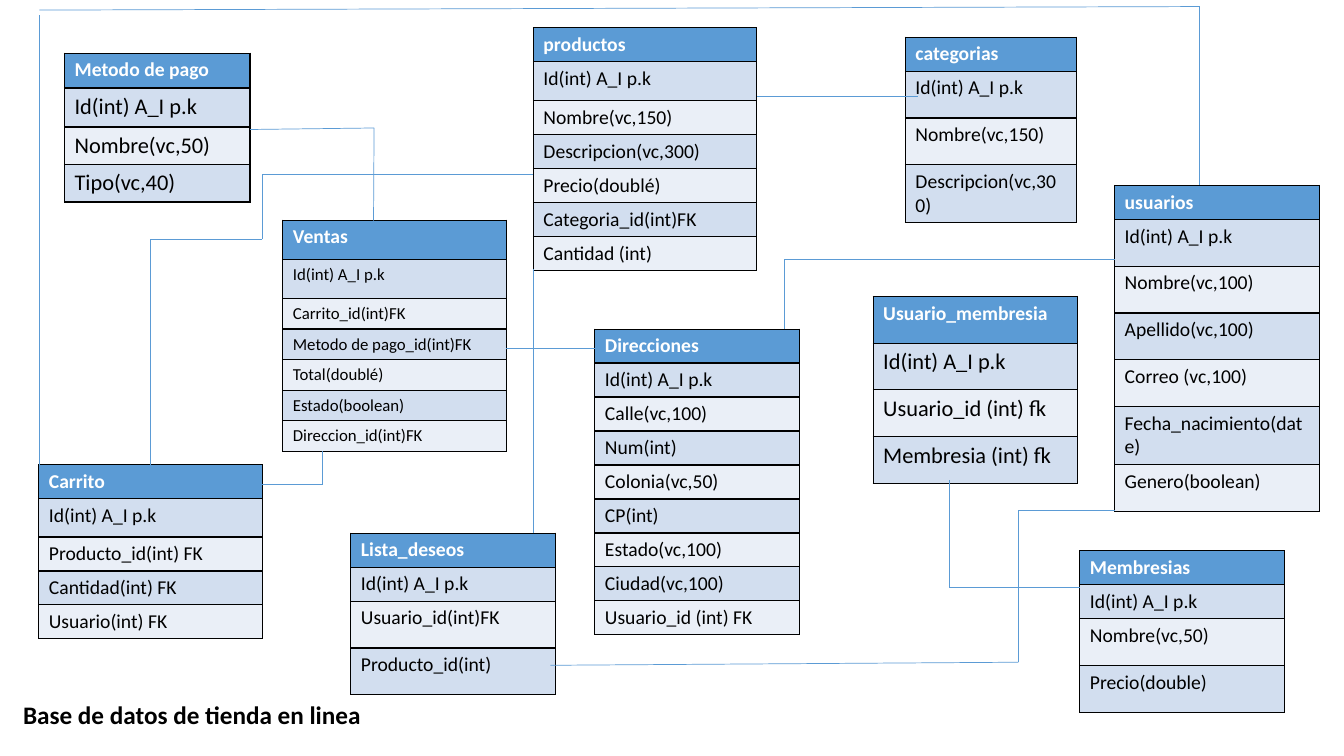
from itertools import pairwise
from lxml.etree import SubElement
from pptx import Presentation
from pptx.dml.color import RGBColor
from pptx.enum.shapes import MSO_CONNECTOR
from pptx.enum.text import MSO_AUTO_SIZE
from pptx.oxml.ns import qn
from pptx.util import Inches, Pt

ROWS = 75
FONT, BLUE, BLACK, WHITE = "Calibri", "5B9BD5", "000000", "FFFFFF"
BANDS = ["D2DEEF", "EAEFF7"]
LOW, MID, HIGH, DOUBLE = 3.3, 3.88, 4.64, 5.75
ID = "Id(int) A_I p.k"

# name, (column, row, width), field size, header height, fields with heights
TABLES = [
    ("categorias", (89.8, 3.7, 16.95), 14, LOW, [
        (ID, HIGH), ("Nombre(vc,150)", HIGH), ("Descripcion(vc,300)", DOUBLE)]),
    ("usuarios", (110.55, 18.4, 20.3), 14, LOW, [
        (ID, HIGH), ("Nombre(vc,100)", HIGH), ("Apellido(vc,100)", HIGH),
        ("Correo (vc,100)", HIGH), ("Fecha_nacimiento(date)", DOUBLE),
        ("Genero(boolean)", HIGH)]),
    ("Membresias", (107.1, 54.65, 20.3), 14, LOW, [
        (ID, LOW), ("Nombre(vc,50)", HIGH), ("Precio(double)", HIGH)]),
    ("productos", (52.9, 2.75, 22.15), 14, LOW, [
        (ID, MID), ("Nombre(vc,150)", LOW), ("Descripcion(vc,300)", LOW),
        ("Precio(doublé)", LOW), ("Categoria_id(int)FK", LOW),
        ("Cantidad (int)", LOW)]),
    ("Usuario_membresia", (86.6, 29.4, 20.3), 16, HIGH, [
        (ID, HIGH), ("Usuario_id (int) fk", HIGH), ("Membresia (int) fk", HIGH)]),
    ("Metodo de pago", (6.4, 5.28, 18.4), 16, 3.45, [
        (ID, MID), ("Nombre(vc,50)", 3.5), ("Tipo(vc,40)", 3.5)]),
    ("Carrito", (3.85, 46.1, 22.15), 14, LOW, [
        (ID, 3.8), ("Producto_id(int) FK", LOW), ("Cantidad(int) FK", LOW),
        ("Usuario(int) FK", LOW)]),
    ("Direcciones", (59, 32.65, 20.3), 14, LOW, [
        (ID, LOW), ("Calle(vc,100)", LOW), ("Num(int)", LOW),
        ("Colonia(vc,50)", LOW), ("CP(int)", LOW), ("Estado(vc,100)", LOW),
        ("Ciudad(vc,100)", LOW), ("Usuario_id (int) FK", LOW)]),
    ("Ventas", (28.05, 21.85, 22.15), 12, MID, [
        (ID, MID), ("Carrito_id(int)FK", 3), ("Metodo de pago_id(int)FK", 3),
        ("Total(doublé)", 3), ("Estado(boolean)", 3), ("Direccion_id(int)FK", 3)]),
    ("Lista_deseos", (34.8, 52.9, 20.3), 14, LOW, [
        (ID, LOW), ("Usuario_id(int)FK", HIGH), ("Producto_id(int)", HIGH)]),
]
ROUTES = [
    [(3.9, 46.1), (3.9, 1.5)],
    [(3.9, 1), (119, 0.65), (119, 18.4)],
    [(24.8, 12.85), (37.1, 12.7), (37.05, 21.9)],
    [(14.95, 46.1), (14.95, 23.75), (26, 23.75), (26, 17.3), (52.9, 17.3)],
    [(26, 48.05), (32, 48.05), (32, 44.7)],
    [(50.2, 34.55), (59, 34.55)],
    [(54.6, 66), (101, 65.7), (101, 50.65), (110.6, 50.65)],
    [(52.9, 52.9), (52.9, 26.7)],
    [(77.8, 32.65), (77.8, 25.7), (110.6, 25.7)],
    [(75.1, 9.55), (91, 9.55)],
    [(107.1, 58.3), (94.2, 58.3), (94.2, 47.6)],
]
TITLE, TITLE_BOX = "Base de datos de tienda en linea", (1.3, 68.9, 35.8, 4)

prs = Presentation()
prs.slide_width, prs.slide_height = Inches(13.33), Inches(7.5)
s = prs.slides.add_slide(prs.slide_layouts[6])


def grid(*cells):
    return [round(c * prs.slide_height / ROWS) for c in cells]


def color(value):
    return RGBColor.from_string(value)


def write(tf, text, size=14, ink=BLACK, bold=False):
    r = tf.paragraphs[0].add_run()
    r.text = text
    r.font.name, r.font.size, r.font.bold = FONT, Pt(size), bold
    r.font.color.rgb = color(ink)


def style_cell(cell, fill):
    tcPr = cell._tc.get_or_add_tcPr()
    for side in ("lnL", "lnR", "lnT", "lnB"):
        ln = SubElement(tcPr, qn(f"a:{side}"), w=str(Pt(1)))
        SubElement(SubElement(ln, qn("a:solidFill")), qn("a:srgbClr"), val=BLACK)
    cell.fill.solid()
    cell.fill.fore_color.rgb = color(fill)


def add_entity(name, place, size, header, fields):
    """Draw one database table with its header and banded fields."""
    heights = [header] + [h for _, h in fields]
    table = s.shapes.add_table(len(heights), 1, *grid(*place, sum(heights))).table
    for row, h in zip(table.rows, heights):
        row.height = grid(h)[0]
    style_cell(table.cell(0, 0), BLUE)
    write(table.cell(0, 0).text_frame, name, ink=WHITE, bold=True)
    for i, (field, _) in enumerate(fields):
        cell = table.cell(i + 1, 0)
        style_cell(cell, BANDS[i % 2])
        write(cell.text_frame, field, size=size)


def add_route(points):
    for start, end in pairwise(points):
        line = s.shapes.add_connector(MSO_CONNECTOR.STRAIGHT, *grid(*start, *end))
        line.line.color.rgb, line.line.width = color(BLUE), Pt(0.5)
        SubElement(line._element.spPr, qn("a:effectLst"))


for entity in TABLES:
    add_entity(*entity)
for route in ROUTES:
    add_route(route)
tf = s.shapes.add_textbox(*grid(*TITLE_BOX)).text_frame
tf.word_wrap, tf.auto_size = False, MSO_AUTO_SIZE.SHAPE_TO_FIT_TEXT
write(tf, TITLE, size=18, bold=True)
prs.save("out.pptx")
